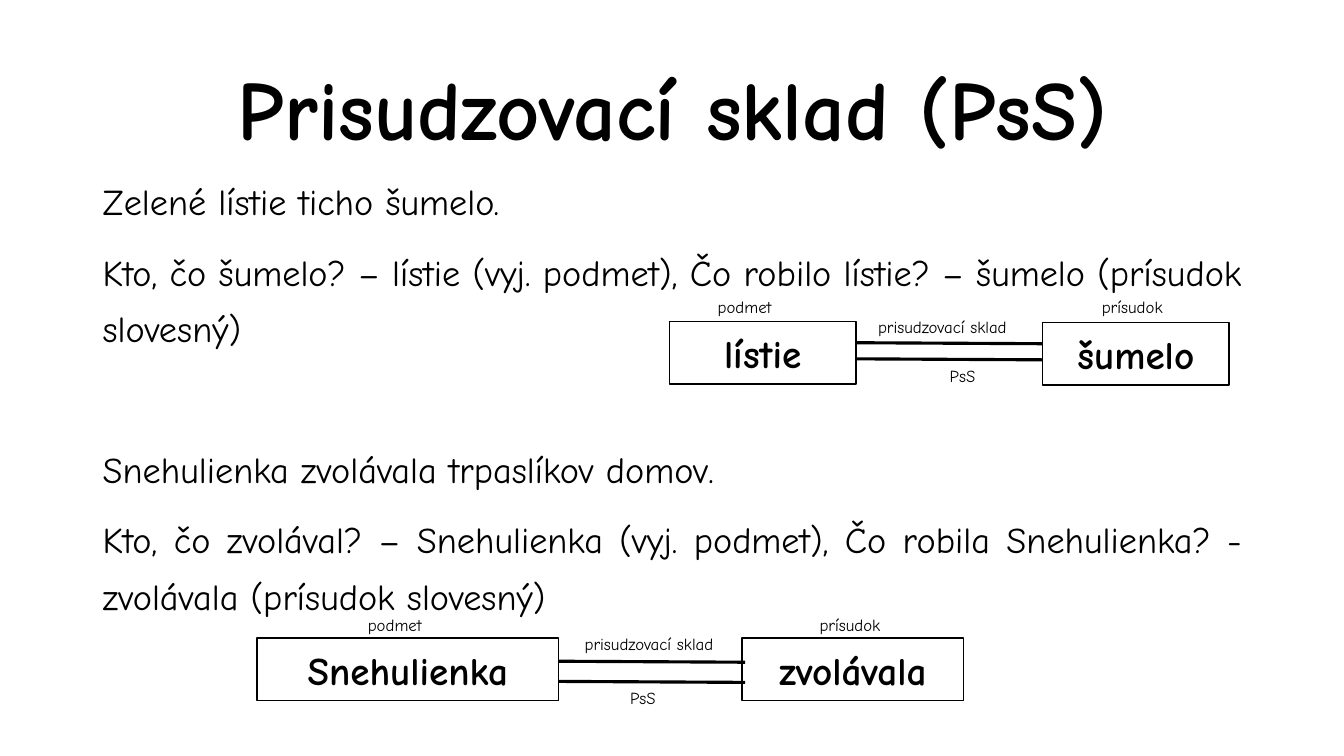
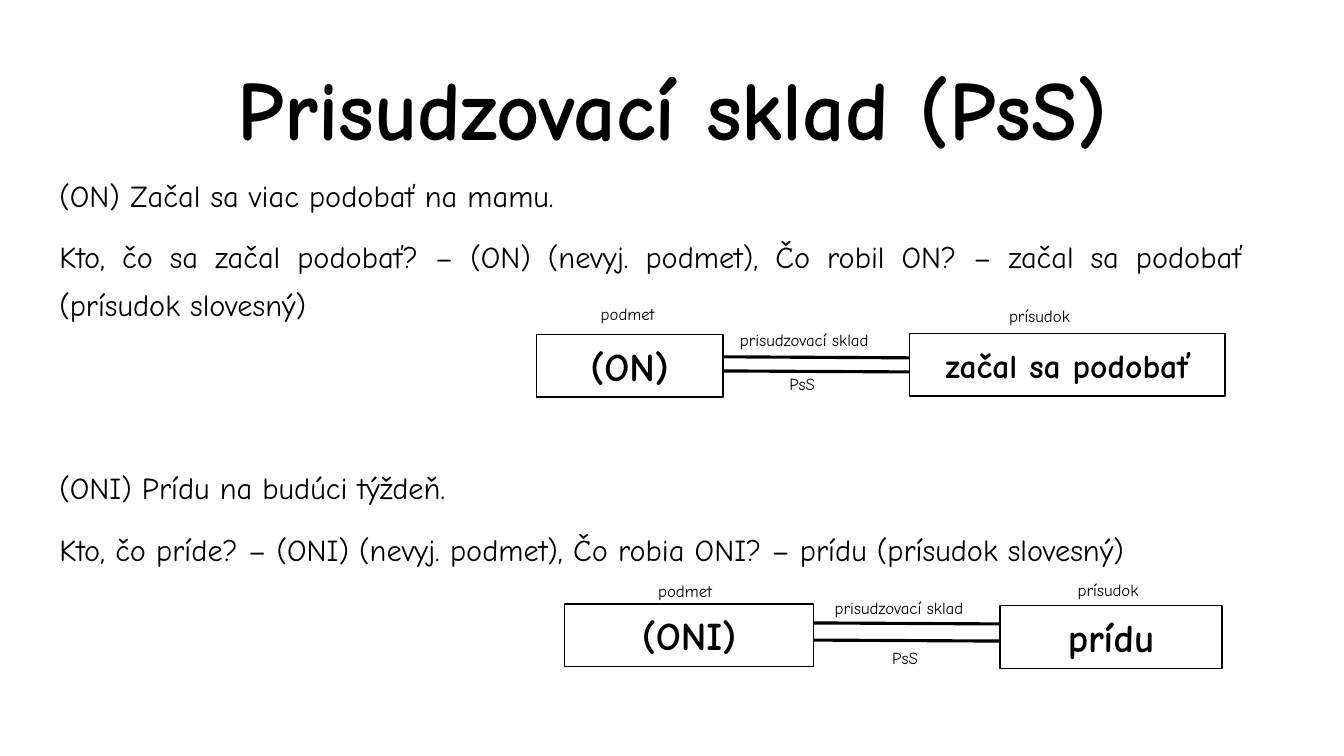
"""Builds two slides on the Slovak predicative syntagm with sentence diagrams."""
from dataclasses import dataclass

from lxml import etree
from pptx import Presentation
from pptx.dml.color import RGBColor
from pptx.enum.shapes import MSO_CONNECTOR, MSO_SHAPE
from pptx.enum.text import MSO_ANCHOR, MSO_AUTO_SIZE, PP_ALIGN
from pptx.oxml.ns import qn
from pptx.util import Pt

RECTANGLE = MSO_SHAPE.RECTANGLE
STRAIGHT = MSO_CONNECTOR.STRAIGHT
MIDDLE = MSO_ANCHOR.MIDDLE
FIT_SHAPE = MSO_AUTO_SIZE.SHAPE_TO_FIT_TEXT
NO_FIT = MSO_AUTO_SIZE.NONE
LEFT, CENTER, JUSTIFY = PP_ALIGN.LEFT, PP_ALIGN.CENTER, PP_ALIGN.JUSTIFY

EMU_PER_PX = 9144
TITLE_ONLY = 5
SLIDE_SIZE = (1333, 750)
TITLE_BOX = (92, 40, 1150, 145)
HEADING = "Prisudzovací sklad (PsS)"
BODY_TOP, BODY_RIGHT, BODY_HEIGHT = 160, 1242, 466
WORD_HEIGHT, LABEL_HEIGHT = 62, 30
BOND_LENGTH, BOND_SLANT = 185, 1
LABEL_WIDTHS = {"podmet": 78, "prísudok": 87, "prisudzovací sklad": 162, "PsS": 49}


@dataclass(frozen=True)
class Theme:
    """Colours, font and type sizes shared by the slides."""
    ink: RGBColor = RGBColor(0, 0, 0)
    paper: RGBColor = RGBColor(255, 255, 255)
    font: str = "Comic Neue"
    title: float = 60
    word: float = 28
    label: float = 12
    frame: float = 1
    bond: float = 2.25


@dataclass(frozen=True)
class Word:
    """A framed sentence member."""
    text: str
    left: int
    top: int
    width: int
    size: float


@dataclass(frozen=True)
class Diagram:
    """Subject and predicate joined by a double bond, with label positions."""
    subject: Word
    predicate: Word
    bonds: tuple
    labels: tuple


@dataclass(frozen=True)
class Lesson:
    """Content of one slide; example_gap is the space before a new example."""
    left: int
    size: float
    example_gap: float
    examples: tuple
    diagrams: tuple


THEME = Theme()

LESSONS = (
    Lesson(
        92, 25.9, 60,
        (
            ("Zelené lístie ticho šumelo.",
             "Kto, čo šumelo? – lístie (vyj. podmet), Čo robilo lístie? – "
             "šumelo (prísudok slovesný)"),
            ("Snehulienka zvolávala trpaslíkov domov.",
             "Kto, čo zvolával? – Snehulienka (vyj. podmet), Čo robila "
             "Snehulienka? - zvolávala (prísudok slovesný)"),
        ),
        (
            Diagram(Word("lístie", 664, 319, 185, THEME.word),
                    Word("šumelo", 1034, 320, 185, THEME.word),
                    (340, 356),
                    ((702, 289), (1083, 289), (861, 309), (932, 358))),
            Diagram(Word("Snehulienka", 255, 633, 299, THEME.word),
                    Word("zvolávala", 736, 633, 220, THEME.word),
                    (656, 676),
                    ((355, 605), (803, 605), (570, 624), (615, 677))),
        ),
    ),
    Lesson(
        49, 21.7, 97.2,
        (
            ("(ON) Začal sa viac podobať na mamu.",
             "Kto, čo sa začal podobať? – (ON) (nevyj. podmet), Čo robil ON? – "
             "začal sa podobať (prísudok slovesný)"),
            ("(ONI) Prídu na budúci týždeň.",
             "Kto, čo príde? – (ONI) (nevyj. podmet), Čo robia ONI? – "
             "prídu (prísudok slovesný)"),
        ),
        (
            Diagram(Word("(ON)", 532, 332, 185, THEME.word),
                    Word("začal sa podobať", 902, 331, 313, 24),
                    (354, 368),
                    ((586, 296), (991, 298), (724, 322), (773, 366))),
            Diagram(Word("(ONI)", 560, 599, 247, THEME.word),
                    Word("prídu", 992, 601, 220, THEME.word),
                    (618, 635),
                    ((643, 571), (1059, 570), (818, 588), (875, 638))),
        ),
    ),
)


def px(*lengths):
    """Turn pixel lengths into EMU."""
    return [length * EMU_PER_PX for length in lengths]


def set_all(target, values):
    """Set every attribute named in a dict of format values."""
    for name, value in values.items():
        setattr(target, name, value)


def write(paragraph, text, size, bold=False, **layout):
    """Fill a paragraph and format it."""
    paragraph.text = text
    set_all(paragraph, layout)
    set_all(paragraph.font, {"name": THEME.font, "size": Pt(size), "bold": bold})
    paragraph.font.color.rgb = THEME.ink


def add_title(slide):
    """Place and format the title placeholder."""
    title = slide.shapes.title
    set_all(title, dict(zip(("left", "top", "width", "height"), px(*TITLE_BOX))))
    set_all(title.text_frame, {"vertical_anchor": MIDDLE, "auto_size": NO_FIT})
    write(title.text_frame.paragraphs[0], HEADING, THEME.title, True,
          alignment=CENTER, line_spacing=0.9)


def add_examples(slide, lesson):
    """Write the example sentences and their questions as justified text."""
    body = slide.shapes.add_textbox(
        *px(lesson.left, BODY_TOP, BODY_RIGHT - lesson.left, BODY_HEIGHT))
    frame = body.text_frame
    frame.word_wrap = True
    for number, (sentence, questions) in enumerate(lesson.examples):
        opening = frame.add_paragraph() if number else frame.paragraphs[0]
        gap = lesson.example_gap if number else 0
        for paragraph, text, before in ((opening, sentence, gap),
                                        (frame.add_paragraph(), questions, 10)):
            write(paragraph, text, lesson.size, alignment=JUSTIFY,
                  line_spacing=1.3, space_before=Pt(before))


def add_word(slide, word):
    """Draw a framed sentence member."""
    box = slide.shapes.add_shape(
        RECTANGLE, *px(word.left, word.top, word.width, WORD_HEIGHT))
    box.shadow.inherit = False
    box.fill.solid()
    box.fill.fore_color.rgb = THEME.paper
    box.line.color.rgb = THEME.ink
    box.line.width = Pt(THEME.frame)
    box.text_frame.vertical_anchor = MIDDLE
    write(box.text_frame.paragraphs[0], word.text, word.size, True, alignment=CENTER)


def add_bond(slide, left, top):
    """Draw one line of the double bond."""
    bond = slide.shapes.add_connector(
        STRAIGHT, *px(left, top, left + BOND_LENGTH, top + BOND_SLANT))
    bond.line.color.rgb = THEME.ink
    bond.line.width = Pt(THEME.bond)
    etree.SubElement(bond.element.spPr, qn("a:effectLst"))


def add_label(slide, text, left, top):
    """Write a small label that does not wrap."""
    label = slide.shapes.add_textbox(*px(left, top, LABEL_WIDTHS[text], LABEL_HEIGHT))
    set_all(label.text_frame, {"word_wrap": False, "auto_size": FIT_SHAPE})
    write(label.text_frame.paragraphs[0], text, THEME.label, alignment=LEFT)


def add_diagram(slide, diagram):
    """Draw both words, the double bond and the four labels."""
    subject = diagram.subject
    for word in (subject, diagram.predicate):
        add_word(slide, word)
    for top in diagram.bonds:
        add_bond(slide, subject.left + subject.width, top)
    for text, position in zip(LABEL_WIDTHS, diagram.labels):
        add_label(slide, text, *position)


def main():
    """Build and save the presentation."""
    deck = Presentation()
    deck.slide_width, deck.slide_height = px(*SLIDE_SIZE)
    for lesson in LESSONS:
        slide = deck.slides.add_slide(deck.slide_layouts[TITLE_ONLY])
        add_title(slide)
        add_examples(slide, lesson)
        for diagram in lesson.diagrams:
            add_diagram(slide, diagram)
    deck.save("out.pptx")


if __name__ == "__main__":
    main()
